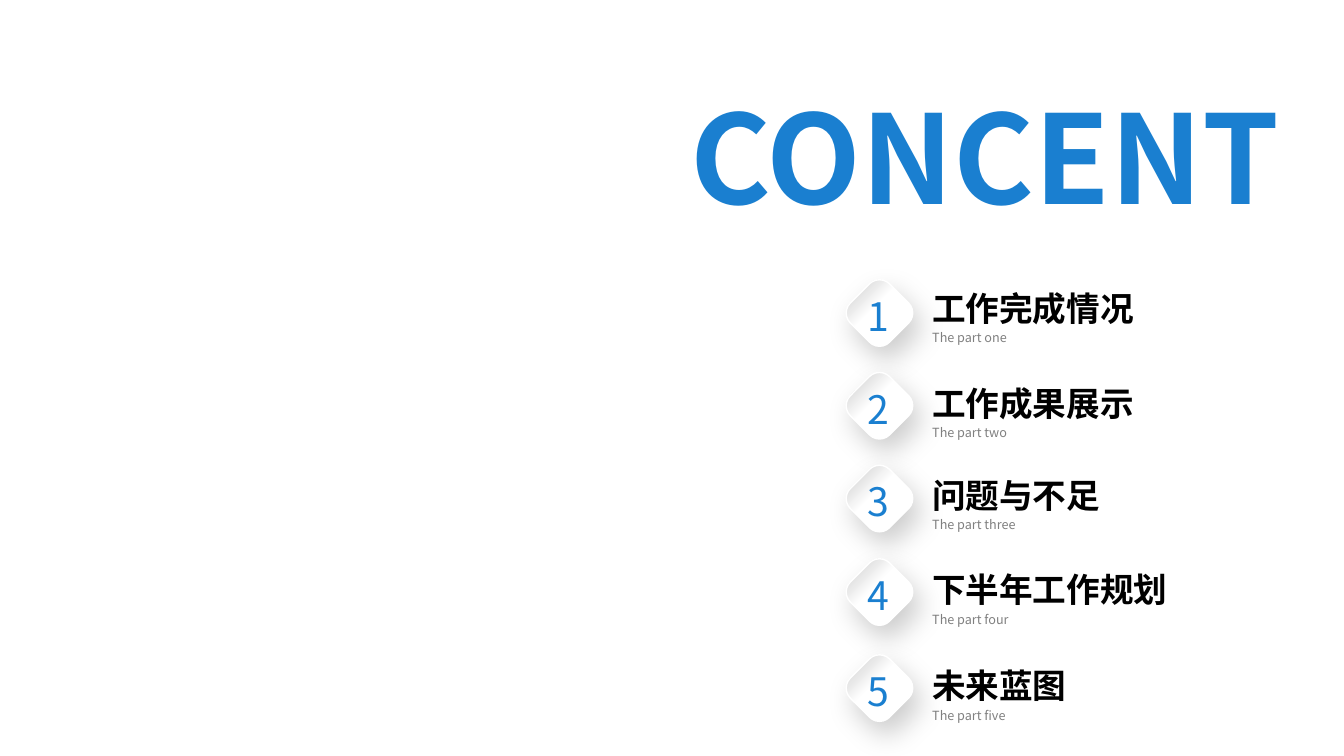
from lxml.etree import SubElement
from pptx import Presentation
from pptx.dml.color import RGBColor
from pptx.enum.shapes import MSO_SHAPE
from pptx.enum.text import MSO_AUTO_SIZE, PP_ALIGN
from pptx.oxml import parse_xml
from pptx.oxml.ns import nsdecls, qn
from pptx.util import Pt

THEME = {
    "font": "Noto Sans CJK SC",
    "black": "000000",
    "gray": "808080",
    "white": "FFFFFF",
    "blue_gradient": ([(5, "1F4E79"), (53, "1A7FD0"), (100, "12A1FC")], 45),
    "tile_gradient": ([(56, "FFFFFF"), (99, "BFBFBF")], 225),
    "heading_size": 88,
    "number_size": 28,
    "title_size": 24,
    "caption_size": 9,
}


def gradient_fill(stops, angle):
    stop_list = "".join(
        f'<a:gs pos="{position * 1000}"><a:srgbClr val="{color}"/></a:gs>'
        for position, color in stops
    )
    return parse_xml(
        f'<a:gradFill {nsdecls("a")} rotWithShape="0"><a:gsLst>{stop_list}</a:gsLst>'
        f'<a:lin ang="{angle * 60000}" scaled="0"/></a:gradFill>'
    )


def add_text(shapes, text, left, top, width, height, *, size, color=None,
             gradient=None, bold=False, align=PP_ALIGN.LEFT):
    box = shapes.add_textbox(Pt(left), Pt(top), Pt(width), Pt(height))
    frame = box.text_frame
    frame.word_wrap = True
    frame.auto_size = MSO_AUTO_SIZE.SHAPE_TO_FIT_TEXT
    paragraph = frame.paragraphs[0]
    paragraph.alignment = align
    run = paragraph.add_run()
    run.text = text
    run.font.size = Pt(size)
    run.font.bold = bold
    run.font.name = THEME["font"]
    properties = run.font._element
    SubElement(properties, qn("a:ea")).set("typeface", THEME["font"])
    if gradient:
        properties.insert(0, gradient_fill(*gradient))
    else:
        run.font.color.rgb = RGBColor.from_string(color)


presentation = Presentation()
presentation.slide_width = Pt(960)
presentation.slide_height = Pt(540)
slide = presentation.slides.add_slide(presentation.slide_layouts[6])

# Heading
add_text(slide.shapes, "CONCENT", 463, 54.7, 481, 113.8, size=THEME["heading_size"],
         gradient=THEME["blue_gradient"], bold=True, align=PP_ALIGN.CENTER)

# Agenda: title, caption, top of the text, top of the tile
agenda = [
    ("工作完成情况", "The part one", 202.3, 203.8),
    ("工作成果展示", "The part two", 270, 270),
    ("问题与不足", "The part three", 335.6, 336.3),
    ("下半年工作规划", "The part four", 403.1, 403.1),
    ("未来蓝图", "The part five", 471.7, 471.7),
]
for number, (title, caption, text_top, tile_top) in enumerate(agenda, start=1):
    add_text(slide.shapes, title, 658.8, text_top, 196.6, 36,
             size=THEME["title_size"], color=THEME["black"], bold=True)
    add_text(slide.shapes, caption, 658.8, text_top + 30.1, 178.6, 18,
             size=THEME["caption_size"], color=THEME["gray"], align=PP_ALIGN.JUSTIFY)

    # Numbered tile with a soft shadow
    group = slide.shapes.add_group_shape()
    tile = group.shapes.add_shape(MSO_SHAPE.ROUNDED_RECTANGLE,
                                  Pt(608.4), Pt(tile_top), Pt(39.6), Pt(39.6))
    tile.adjustments[0] = 0.258
    tile.rotation = 45
    tile.line.color.rgb = RGBColor.from_string(THEME["white"])
    tile.line.width = Pt(1)
    tile_properties = tile._element.spPr
    tile_properties.insert_element_before(gradient_fill(*THEME["tile_gradient"]), "a:ln")
    tile_properties.append(parse_xml(
        f'<a:effectLst {nsdecls("a")}><a:outerShdw blurRad="{Pt(20)}" dist="{Pt(10)}" '
        f'dir="{60 * 60000}" algn="ctr" rotWithShape="0"><a:srgbClr val="{THEME["black"]}">'
        '<a:alpha val="20000"/></a:srgbClr></a:outerShdw></a:effectLst>'
    ))
    add_text(group.shapes, str(number), 610.6, tile_top + 1.4, 33.8, 41,
             size=THEME["number_size"], gradient=THEME["blue_gradient"],
             align=PP_ALIGN.CENTER)

presentation.save("out.pptx")
